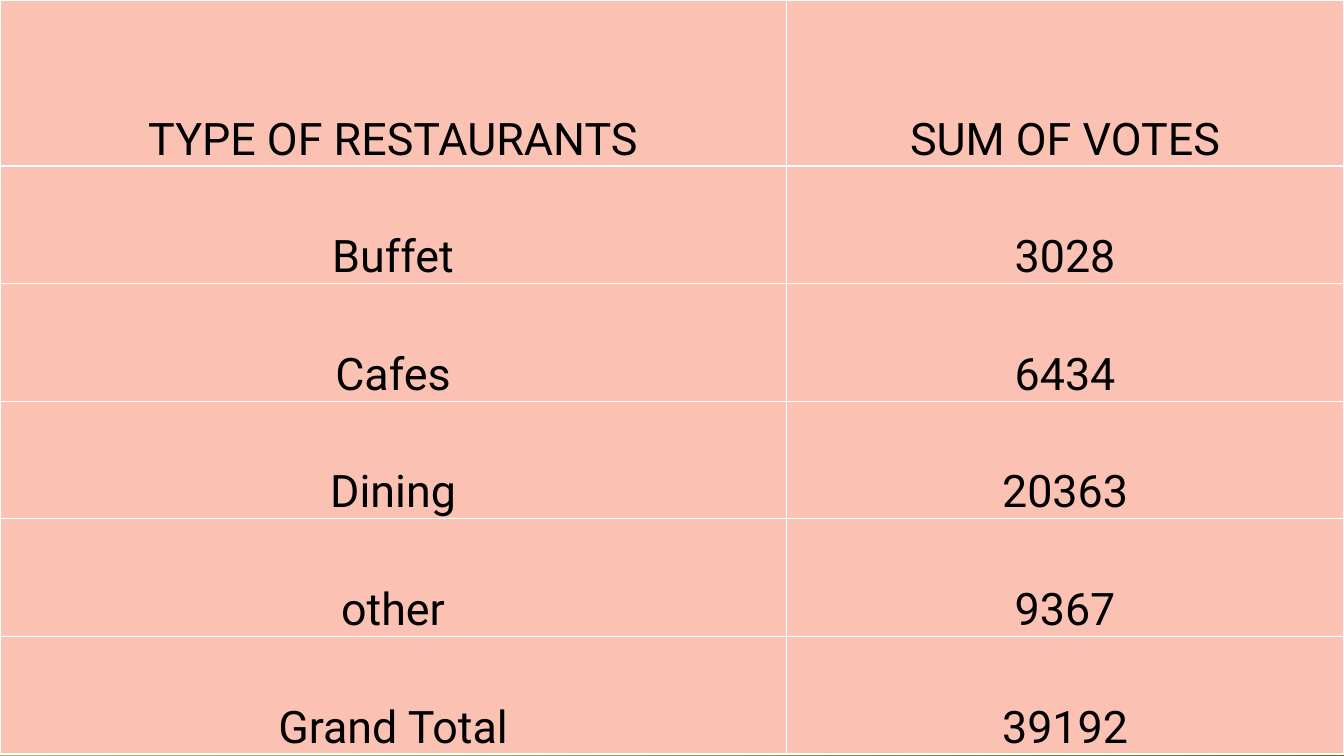
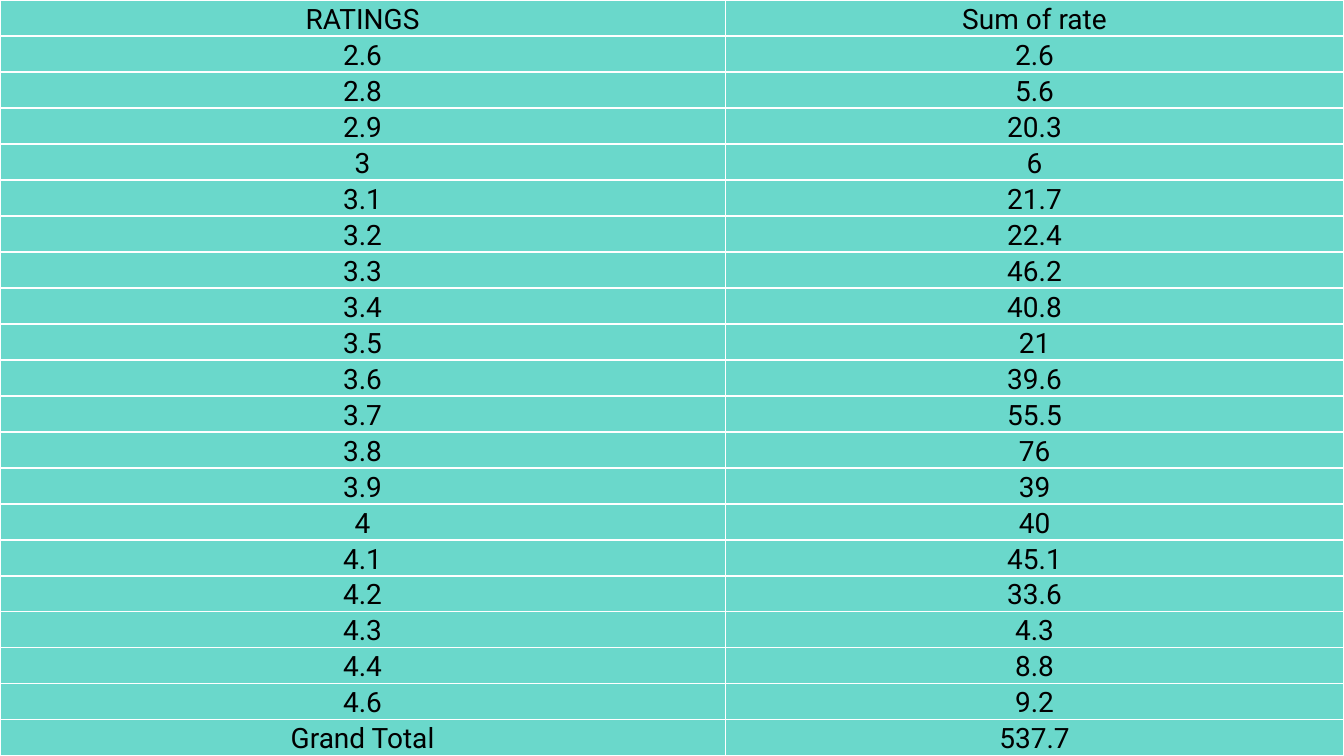
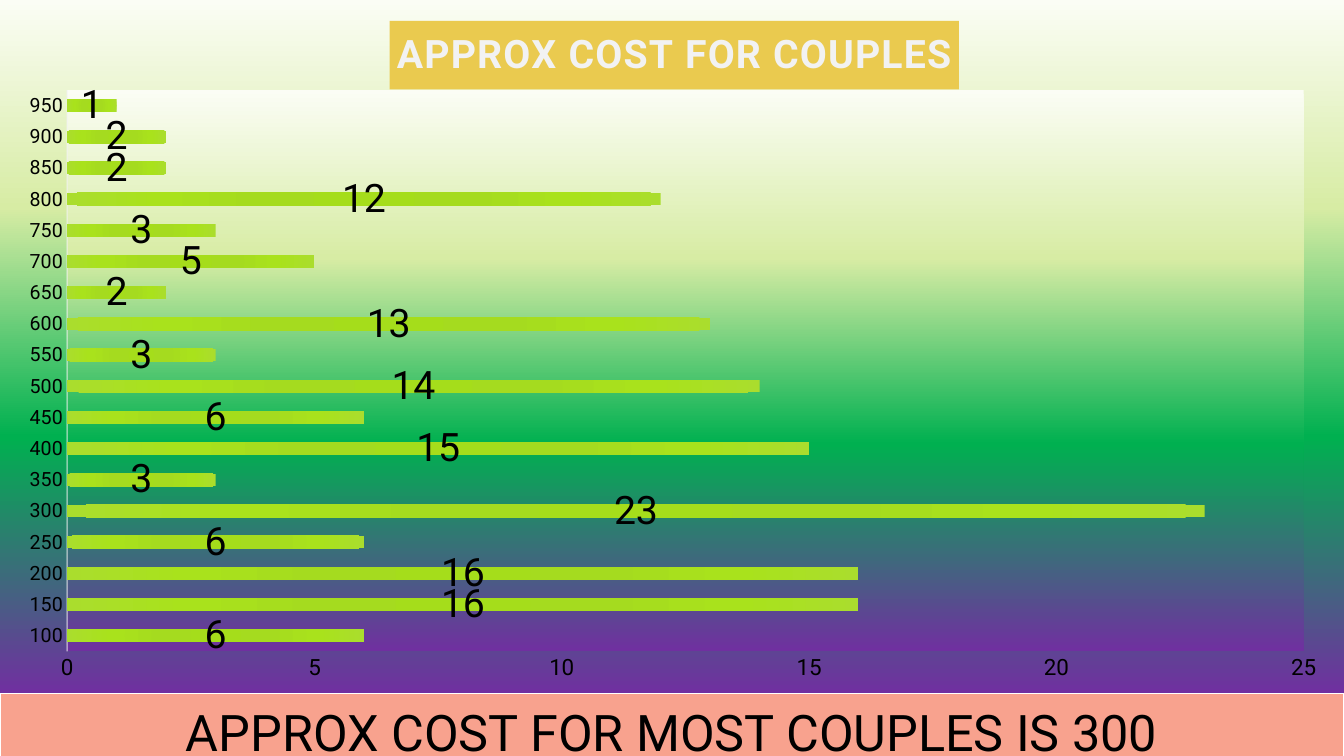
"""Builds three slides on restaurant votes, ratings and cost for couples."""
from pptx import Presentation
from pptx.chart.data import CategoryChartData
from pptx.dml.color import RGBColor
from pptx.enum.chart import XL_CHART_TYPE, XL_LABEL_POSITION, XL_TICK_MARK
from pptx.enum.text import MSO_ANCHOR, PP_ALIGN
from pptx.oxml import parse_xml
from pptx.oxml.ns import nsdecls, qn
from pptx.util import Pt

BARS = XL_CHART_TYPE.BAR_STACKED
MID = XL_LABEL_POSITION.CENTER
NO_TICK = XL_TICK_MARK.NONE
LOW, CENTRE = MSO_ANCHOR.BOTTOM, MSO_ANCHOR.MIDDLE
ALIGN = PP_ALIGN.CENTER
FACE = "Roboto"
BLACK, WHITE, PALE, GOLD = "000000", "FFFFFF", "F2F2F2", "EACA4F"
WIDE, HIGH = 960, 540
SPLIT = 495
CIRCLE = '<a:path path="circle"><a:fillToRect l="100000" t="100000" r="100000" b="100000"/></a:path>'
DOWN = '<a:lin ang="5400000" scaled="0"/>'
SLANT = '<a:lin ang="2520000" scaled="0"/>'
LEAF = [(0, "AFDE77"), (50, "8BC25D"), (100, "437528")]
DUSK = [(0, "FBFDF5"), (30, "D7ECA4"), (63, "00B050"), (100, "7030A0")]
LIME = [(0, "A5DD1B"), (34, "A5DB1F"), (70, "A9E21C"), (100, "AADD2D")]


def hue(code):
    return RGBColor.from_string(code)


def blend(stops, course):
    marks = "".join(
        f'<a:gs pos="{at * 1000}"><a:srgbClr val="{code}"/></a:gs>' for at, code in stops
    )
    return parse_xml(
        f'<a:gradFill {nsdecls("a")} rotWithShape="1"><a:gsLst>{marks}</a:gsLst>{course}</a:gradFill>'
    )


deck = Presentation()
deck.slide_width, deck.slide_height = Pt(WIDE), Pt(HIGH)
master = deck.slide_master
master.background.fill.solid()
back = master.element.find(".//" + qn("p:bgPr"))
back.replace(back[0], blend(LEAF, SLANT))
votes, rates, costs = [deck.slides.add_slide(deck.slide_layouts[6]) for _ in range(3)]

vote_rows = [
    ("TYPE OF RESTAURANTS", "SUM OF VOTES"),
    ("Buffet", "3028"),
    ("Cafes", "6434"),
    ("Dining", "20363"),
    ("other", "9367"),
    ("Grand Total", "39192"),
]
rate_rows = [
    ("RATINGS", "Sum of rate"),
    ("2.6", "2.6"),
    ("2.8", "5.6"),
    ("2.9", "20.3"),
    ("3", "6"),
    ("3.1", "21.7"),
    ("3.2", "22.4"),
    ("3.3", "46.2"),
    ("3.4", "40.8"),
    ("3.5", "21"),
    ("3.6", "39.6"),
    ("3.7", "55.5"),
    ("3.8", "76"),
    ("3.9", "39"),
    ("4", "40"),
    ("4.1", "45.1"),
    ("4.2", "33.6"),
    ("4.3", "4.3"),
    ("4.4", "8.8"),
    ("4.6", "9.2"),
    ("Grand Total", "537.7"),
]
cost_rows = [("APPROX COST FOR MOST COUPLES IS 300",)]

tables = [
    (votes, vote_rows, 0, [561.6, 398.4], [118.6] + [84] * 5, 32, "FBC1B3", LOW),
    (rates, rate_rows, 0, [518, 442], [HIGH / 21] * 21, 20, "6AD8CB", LOW),
    (costs, cost_rows, SPLIT, [WIDE], [57.6], 36, "F8A28E", CENTRE),
]
for slide, rows, top, widths, heights, size, fill, anchor in tables:
    frame = slide.shapes.add_table(
        len(rows), len(widths), 0, Pt(top), Pt(WIDE), Pt(sum(heights))
    )
    grid = frame.table
    grid.first_row = grid.horz_banding = False
    for col, width in zip(grid.columns, widths):
        col.width = Pt(width)
    for row, height, texts in zip(grid.rows, heights, rows):
        row.height = Pt(height)
        for cell, text in zip(row.cells, texts):
            cell.text = text
            cell.vertical_anchor = anchor
            cell.margin_left = cell.margin_right = cell.margin_top = Pt(0.72)
            cell.margin_bottom = 0
            cell.fill.solid()
            cell.fill.fore_color.rgb = hue(fill)
            para = cell.text_frame.paragraphs[0]
            para.alignment = ALIGN
            para.font.size, para.font.name = Pt(size), FACE
            para.font.color.rgb = hue(BLACK)
            props = cell._tc.get_or_add_tcPr()
            for spot, side in enumerate("LRTB"):
                props.insert(spot, parse_xml(
                    f'<a:ln{side} {nsdecls("a")} w="{Pt(1)}"><a:solidFill>'
                    f'<a:srgbClr val="{WHITE}"/></a:solidFill></a:ln{side}>'
                ))

data = CategoryChartData()
data.categories = [str(cost) for cost in range(100, 951, 50)]
data.add_series("Series 1", [6, 16, 16, 6, 23, 3, 15, 6, 14, 3, 13, 2, 5, 3, 12, 2, 2, 1])
chart = costs.shapes.add_chart(BARS, 0, 0, Pt(WIDE), Pt(SPLIT), data).chart
chart.has_legend = False
chart.font.size, chart.font.name = Pt(10), FACE
chart.font.color.rgb = hue(WHITE)

chart.has_title = True
title = chart.chart_title
title.include_in_layout = False
title.format.fill.solid()
title.format.fill.fore_color.rgb = hue(GOLD)
head = title.text_frame.paragraphs[0]
head.text = "APPROX COST FOR COUPLES"
head.font.size, head.font.name, head.font.bold = Pt(28), FACE, True
head.font.color.rgb = hue(PALE)
head.runs[0]._r.get_or_add_rPr().set("spc", "100")

for axis, size in ((chart.category_axis, 14), (chart.value_axis, 16)):
    axis.major_tick_mark = axis.minor_tick_mark = NO_TICK
    axis.has_major_gridlines = False
    font = axis.tick_labels.font
    font.size, font.name = Pt(size), FACE
    font.color.rgb = hue(BLACK)
chart.value_axis.minimum_scale, chart.value_axis.maximum_scale = 0, 25
chart.value_axis.major_unit = 5
chart.value_axis.format.line.fill.background()
line = chart.category_axis.format.line
line.width = Pt(1)
line.color.rgb = hue(PALE)
tint = chart.category_axis._element.find(".//" + qn("a:ln") + "//" + qn("a:srgbClr"))
tint.append(parse_xml(f'<a:alpha {nsdecls("a")} val="54000"/>'))

plot = chart.plots[0]
plot.gap_width, plot.overlap, plot.vary_by_categories = 150, 100, False
plot.has_data_labels = True
labels = plot.data_labels
labels.show_value, labels.position = True, MID
labels.font.size, labels.font.name = Pt(28), FACE
labels.font.color.rgb = hue(BLACK)
plot.series[0]._element.get_or_add_spPr().append(blend(LIME, CIRCLE))

space = chart._chartSpace
area = space.find(".//" + qn("c:plotArea"))
skins = [parse_xml(f'<c:spPr {nsdecls("c", "a")}/>') for _ in range(2)]
for skin in skins:
    skin.append(blend(DUSK, DOWN))
area.append(skins[0])
space.find(qn("c:txPr")).addprevious(skins[1])

places = [
    (title._element, 1, "", {"x": 0.29, "y": 0.03}),
    (area, 0, '<c:layoutTarget val="inner"/>', {"x": 0.05, "y": 0.13, "w": 0.92, "h": 0.81}),
]
for part, spot, target, box in places:
    old = part.find(qn("c:layout"))
    if old is not None:
        part.remove(old)
    modes = "".join(f'<c:{key}Mode val="edge"/>' for key in "xy")
    sizes = "".join(f'<c:{key} val="{value}"/>' for key, value in box.items())
    part.insert(spot, parse_xml(
        f'<c:layout {nsdecls("c")}><c:manualLayout>{target}{modes}{sizes}</c:manualLayout></c:layout>'
    ))

deck.save("out.pptx")
